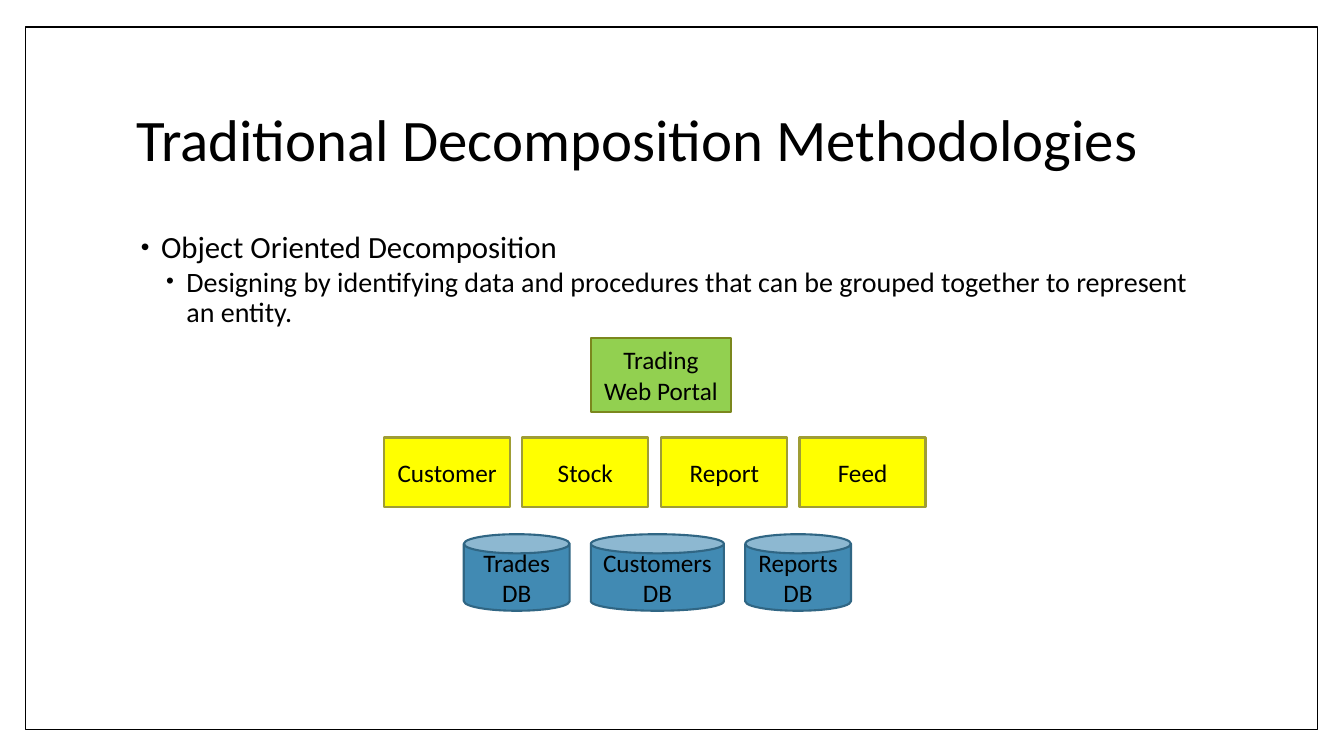
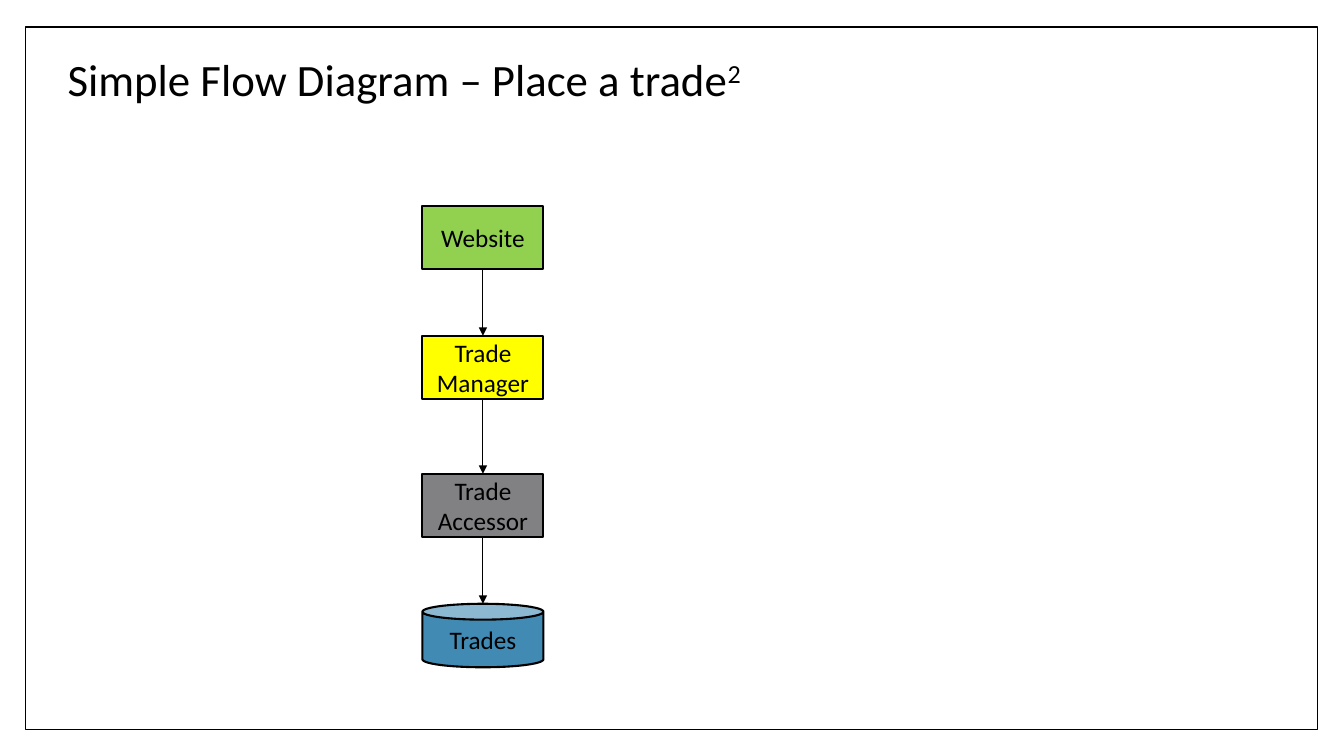
from dataclasses import dataclass
from itertools import pairwise

from lxml.etree import SubElement
from pptx import Presentation
from pptx.dml.color import RGBColor
from pptx.enum.shapes import MSO_CONNECTOR, MSO_SHAPE
from pptx.enum.text import MSO_ANCHOR, MSO_AUTO_SIZE, PP_ALIGN
from pptx.oxml.ns import qn
from pptx.shapes.autoshape import Shape
from pptx.slide import Slide
from pptx.util import Emu, Pt

EMU_PER_PX = 9144
SLIDE_WIDTH, SLIDE_HEIGHT = 1333, 750
TITLE_ONLY = 5
FONT = "Calibri"

BLACK = RGBColor(0x00, 0x00, 0x00)
WHITE = RGBColor(0xFF, 0xFF, 0xFF)
GREEN = RGBColor(0x92, 0xD0, 0x50)
GREEN_EDGE = RGBColor(0x7B, 0x87, 0x1D)
YELLOW = RGBColor(0xFF, 0xFF, 0x00)
YELLOW_EDGE = RGBColor(0x9F, 0x9D, 0x35)
BLUE = RGBColor(0x41, 0x8A, 0xB3)
BLUE_EDGE = RGBColor(0x30, 0x66, 0x84)
GRAY = RGBColor(0x81, 0x81, 0x83)


@dataclass(frozen=True)
class Box:
    left: int
    top: int
    width: int
    height: int


@dataclass(frozen=True)
class Node:
    label: str
    box: Box
    fill: RGBColor
    edge: RGBColor = BLACK
    kind: MSO_SHAPE = MSO_SHAPE.RECTANGLE


@dataclass(frozen=True)
class Bullet:
    text: str
    size: int
    level: int
    indent: int
    before: int
    after: int


FRAME = Box(25, 27, 1282, 697)
BULLET_HANG = 20


def px(length: int) -> Emu:
    return Emu(length * EMU_PER_PX)


def place(box: Box) -> tuple[Emu, Emu, Emu, Emu]:
    return px(box.left), px(box.top), px(box.width), px(box.height)


def add_run(paragraph, text: str, size: int):
    run = paragraph.add_run()
    run.text = text
    run.font.name = FONT
    run.font.size = Pt(size)
    run.font.color.rgb = BLACK
    return run


def add_outlined(slide: Slide, kind: MSO_SHAPE, box: Box, fill: RGBColor,
                 edge: RGBColor, weight: float) -> Shape:
    shape = slide.shapes.add_shape(kind, *place(box))
    shape.shadow.inherit = False
    shape.fill.solid()
    shape.fill.fore_color.rgb = fill
    shape.line.color.rgb = edge
    shape.line.width = Pt(weight)
    return shape


def add_titled_slide(presentation, title: str, box: Box, size: int,
                     superscript: str = "") -> Slide:
    slide = presentation.slides.add_slide(presentation.slide_layouts[TITLE_ONLY])
    frame = add_outlined(slide, MSO_SHAPE.RECTANGLE, FRAME, WHITE, BLACK, 1)
    placeholder = slide.shapes.title
    placeholder._element.addprevious(frame._element)
    placeholder.left, placeholder.top, placeholder.width, placeholder.height = place(box)
    text_frame = placeholder.text_frame
    text_frame.auto_size = MSO_AUTO_SIZE.NONE
    text_frame.vertical_anchor = MSO_ANCHOR.MIDDLE
    paragraph = text_frame.paragraphs[0]
    paragraph.alignment = PP_ALIGN.LEFT
    paragraph.line_spacing = 0.9
    add_run(paragraph, title, size)
    if superscript:
        run = add_run(paragraph, superscript, size)
        run._r.get_or_add_rPr().set("baseline", "30000")
    return slide


def add_bullets(slide: Slide, box: Box, bullets: list[Bullet]) -> None:
    text_frame = slide.shapes.add_textbox(*place(box)).text_frame
    text_frame.word_wrap = True
    for index, bullet in enumerate(bullets):
        paragraph = text_frame.add_paragraph() if index else text_frame.paragraphs[0]
        paragraph.level = bullet.level
        paragraph.line_spacing = 0.9
        paragraph.space_before = Pt(bullet.before)
        paragraph.space_after = Pt(bullet.after)
        properties = paragraph._p.get_or_add_pPr()
        properties.set("marL", str(px(bullet.indent)))
        properties.set("indent", str(px(-BULLET_HANG)))
        color = SubElement(properties, qn("a:buClr"))
        SubElement(color, qn("a:srgbClr"), val=str(BLACK))
        SubElement(properties, qn("a:buSzPct"), val="80000")
        SubElement(properties, qn("a:buFont"), typeface="Arial")
        SubElement(properties, qn("a:buChar"), char="•")
        add_run(paragraph, bullet.text, bullet.size)


def add_node(slide: Slide, node: Node) -> Shape:
    shape = add_outlined(slide, node.kind, node.box, node.fill, node.edge, 1.5)
    shape.text_frame.word_wrap = True
    shape.text_frame.vertical_anchor = MSO_ANCHOR.MIDDLE
    paragraph = shape.text_frame.paragraphs[0]
    paragraph.alignment = PP_ALIGN.CENTER
    add_run(paragraph, node.label, 18)
    return shape


def add_arrow(slide: Slide, source: Shape, target: Shape) -> None:
    center = source.left + source.width // 2
    arrow = slide.shapes.add_connector(
        MSO_CONNECTOR.STRAIGHT, center, source.top + source.height, center, target.top)
    arrow.begin_connect(source, 2)
    if target.auto_shape_type == MSO_SHAPE.RECTANGLE:
        arrow.end_connect(target, 0)
    arrow.line.color.rgb = BLACK
    arrow.line.width = Pt(0.79)
    SubElement(arrow.line._get_or_add_ln(), qn("a:tailEnd"), type="triangle")
    SubElement(arrow._element.spPr, qn("a:effectLst"))


def build_decomposition(presentation) -> None:
    slide = add_titled_slide(presentation, "Traditional Decomposition Methodologies",
                             Box(125, 67, 1080, 148), 42)
    add_bullets(slide, Box(125, 225, 1080, 442), [
        Bullet("Object Oriented Decomposition", 22, 0, 25, 0, 0),
        Bullet("Designing by identifying data and procedures that can be grouped "
               "together to represent an entity.", 20, 1, 50, 2, 4),
    ])
    add_node(slide, Node("Trading Web Portal", Box(586, 335, 139, 74), GREEN, GREEN_EDGE))

    first_left, last_left = 381, 793
    entities = ["Customer", "Stock", "Report", "Feed"]
    pitch = (last_left - first_left) / (len(entities) - 1)
    for index, label in enumerate(entities):
        box = Box(round(first_left + index * pitch), 434, 125, 69)
        add_node(slide, Node(label, box, YELLOW, YELLOW_EDGE))

    left, gap = 460, 21
    for label, width in [("Trades DB", 105), ("Customers DB", 132), ("Reports DB", 105)]:
        box = Box(left, 530, width, 76)
        add_node(slide, Node(label, box, BLUE, BLUE_EDGE, MSO_SHAPE.CAN))
        left += width + gap


def build_trade_flow(presentation) -> None:
    slide = add_titled_slide(presentation, "Simple Flow Diagram – Place a trade",
                             Box(57, 48, 1080, 67), 32, superscript="2")
    left, width, height = 419, 120, 63
    steps = [
        Node("Website", Box(left, 204, width, height), GREEN),
        Node("Trade Manager", Box(left, 333, width, height), YELLOW),
        Node("Trade Accessor", Box(left, 470, width, height), GRAY),
        Node("Trades", Box(left, 599, width, height), BLUE, kind=MSO_SHAPE.CAN),
    ]
    shapes = [add_node(slide, step) for step in steps]
    for source, target in pairwise(shapes):
        add_arrow(slide, source, target)


def main() -> None:
    presentation = Presentation()
    presentation.slide_width = px(SLIDE_WIDTH)
    presentation.slide_height = px(SLIDE_HEIGHT)
    build_decomposition(presentation)
    build_trade_flow(presentation)
    presentation.save("out.pptx")


if __name__ == "__main__":
    main()
